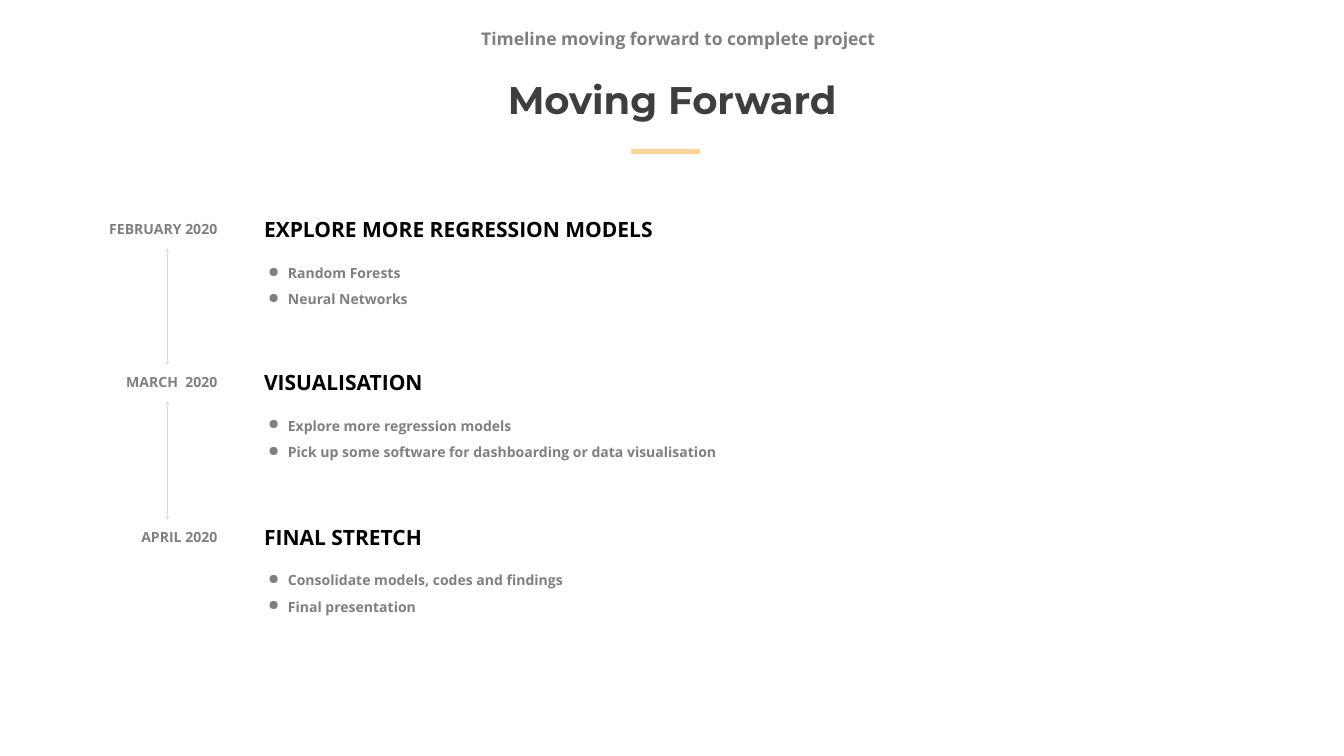
from pptx import Presentation
from pptx.dml.color import RGBColor
from pptx.enum import shapes, text
from pptx.oxml.ns import qn
from pptx.util import Inches, Pt
from lxml import etree

GREY = RGBColor(0x7F, 0x7F, 0x7F)
DARK = RGBColor(0x3E, 0x3E, 0x3E)
BLACK = RGBColor(0, 0, 0)
GOLD = RGBColor(0xFF, 0xD3, 0x92)
PALE = RGBColor(0xD8, 0xD8, 0xD8)
LEFT, MID, RIGHT = text.PP_ALIGN.LEFT, text.PP_ALIGN.CENTER, text.PP_ALIGN.RIGHT
TOP, CENTER = text.MSO_ANCHOR.TOP, text.MSO_ANCHOR.MIDDLE


def add_text(box, lines, size, color, align=LEFT, anchor=CENTER,
             font="Open Sans", pad=0.05, indent=None, bullet=None):
    """Add bold lines; indent is (left margin, first line) in inches."""
    frame = slide.shapes.add_textbox(*map(Inches, box)).text_frame
    frame.word_wrap = True
    frame.vertical_anchor = anchor
    frame.margin_left = frame.margin_right = Inches(2 * pad)
    frame.margin_top = frame.margin_bottom = Inches(pad)
    for i, line in enumerate(lines):
        par = frame.add_paragraph() if i else frame.paragraphs[0]
        par.text = line
        par.alignment = align
        props = par._p.get_or_add_pPr()
        if indent:
            props.set("marL", str(Inches(indent[0])))
            props.set("indent", str(Inches(indent[1])))
        if bullet:
            par.line_spacing = 1.56
            tint = etree.SubElement(props, qn("a:buClr"))
            etree.SubElement(tint, qn("a:srgbClr"), val=str(color))
            etree.SubElement(props, qn("a:buChar"), char=bullet)
        par.font.name = font
        par.font.size = Pt(size)
        par.font.bold = True
        par.font.color.rgb = color


def add_line(x1, y1, x2, y2, color, width):
    line = slide.shapes.add_connector(
        shapes.MSO_CONNECTOR.STRAIGHT, *map(Inches, (x1, y1, x2, y2)))
    line.line.color.rgb = color
    line.line.width = Pt(width)
    etree.SubElement(line._element.spPr, qn("a:effectLst"))
    return line


deck = Presentation()
deck.slide_width, deck.slide_height = Inches(26.66), Inches(15)
slide = deck.slides.add_slide(deck.slide_layouts[6])

# Header
add_line(12.52, 3, 13.89, 3, GOLD, 7)
add_text((8.7, 0.51, 9.25, 0.49), ["Timeline moving forward to complete project"],
         25, GREY, MID, TOP, indent=(0.5, -0.25))
add_text((7.56, 1.45, 11.3, 1.1), ["Moving Forward"],
         55, DARK, MID, TOP, "Montserrat", indent=(0.5, -0.25))

# Timeline
steps = [
    (4.25, "FEBRUARY 2020", "EXPLORE MORE REGRESSION MODELS",
     ["Random Forests", "Neural Networks"]),
    (7.28, "MARCH  2020", "VISUALISATION",
     ["Explore more regression models",
      "Pick up some software for dashboarding or data visualisation"]),
    (10.35, "APRIL 2020", "FINAL STRETCH",
     ["Consolidate models, codes and findings", "Final presentation"]),
]
for y, date, head, points in steps:
    add_text((1.38, y + 0.08, 3.03, 0.44), [date], 20, GREY, RIGHT)
    add_text((5.14, y, 11.15, 0.61), [head], 30, BLACK)
    add_text((4.97, y + 0.69, 19.39, 1.72), points, 20, GREY, anchor=TOP,
             pad=0.12, indent=(0.5, -0.39), bullet="●")

for here, after in zip(steps, steps[1:]):
    arrow = add_line(3.32, here[0] + 0.68, 3.32, after[0] - 0.04, PALE, 0.75)
    for end in ("a:headEnd", "a:tailEnd"):
        etree.SubElement(arrow.line._get_or_add_ln(), qn(end), type="stealth")

deck.save("out.pptx")
